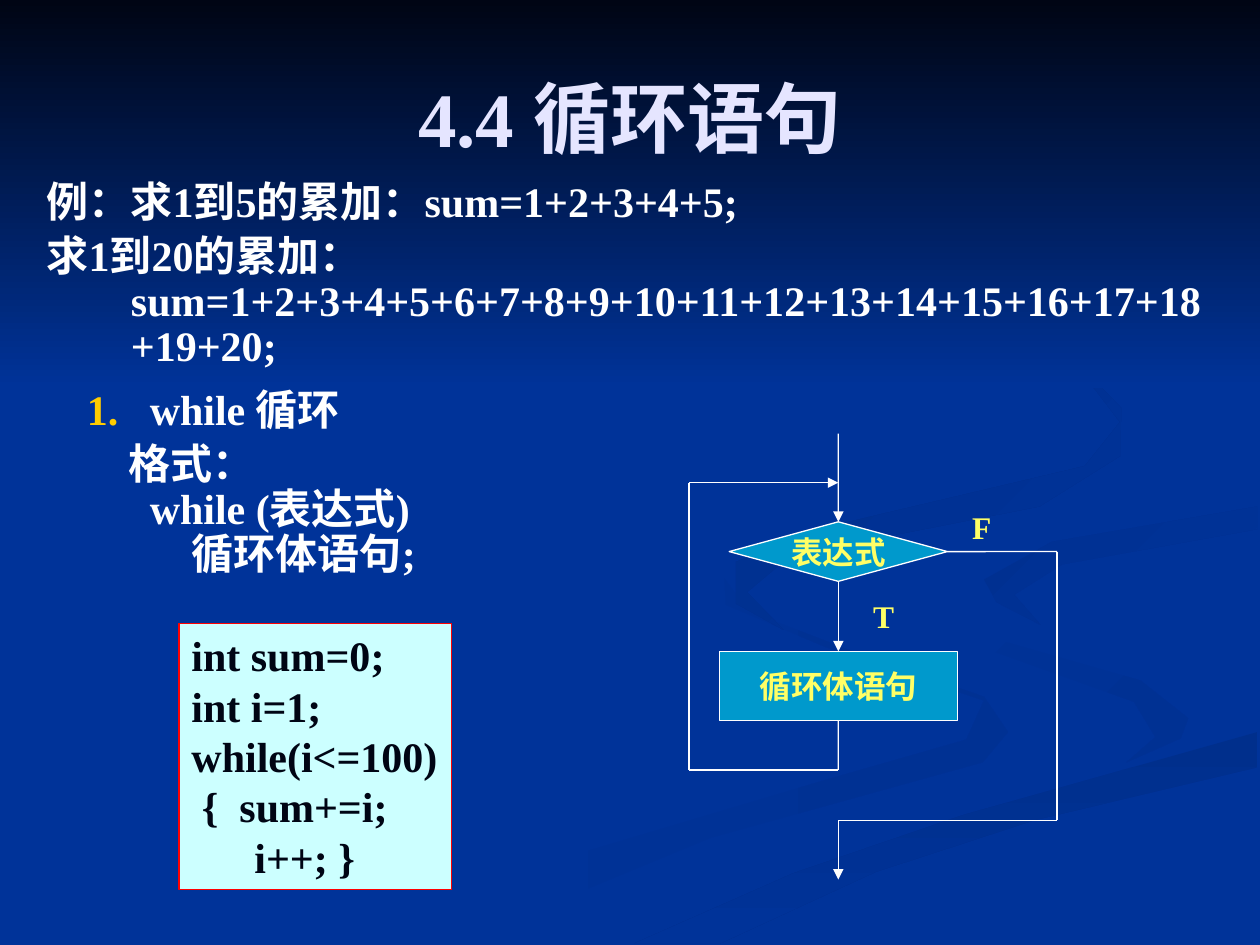
from lxml import etree
from pptx import Presentation
from pptx.dml.color import RGBColor
from pptx.enum.lang import MSO_LANGUAGE_ID as Language
from pptx.enum.shapes import MSO_CONNECTOR as Connector, MSO_SHAPE as Shape
from pptx.enum.text import MSO_ANCHOR as Anchor, MSO_AUTO_SIZE as AutoSize, PP_ALIGN as Align
from pptx.oxml.ns import qn
from pptx.util import Cm, Pt

FONT = "Times New Roman"
COLORS = {
    "background": "003399", "night": "000514", "title": "E5E5FF",
    "text": "FFFFFF", "number": "FFCC00", "label": "FFFF66",
    "node": "0099CC", "code": "CCFFFF", "border": "FF0000",
    "shade": "003193", "deep": "002F8C", "soft": "003091",
}
TOP, LEFT, BOTTOM, RIGHT = range(4)

# Ribbon outlines in hundredths of an inch: start colour, end colour, angle, points
RIBBONS = [
    ("background", "shade", 0, [
        (781, 553), (682, 519), (594, 485), (575, 459), (576, 480), (654, 513), (781, 556),
        (767, 587), (652, 620), (417, 690), (300, 749), (361, 749), (564, 665), (780, 605),
        (800, 581)]),
    ("background", "shade", 45, [
        (943, 570), (905, 540), (758, 498), (724, 464), (755, 505), (900, 557), (917, 585),
        (894, 605), (937, 586)]),
    ("deep", "background", 90, [
        (503, 749), (571, 749), (695, 692), (821, 651), (998, 609), (998, 581), (764, 647),
        (630, 693)]),
    ("soft", "background", 45, [
        (781, 460), (791, 478), (826, 496), (805, 472), (843, 448), (998, 420), (998, 402),
        (835, 430)]),
    ("deep", "background", 45, [
        (683, 430), (825, 402), (889, 362), (890, 324), (843, 275), (762, 233), (846, 279),
        (889, 335), (861, 370), (649, 420), (584, 446), (584, 479), (622, 500), (593, 470),
        (624, 444)]),
    ("night", "background", 90, [(0, 0), (0, 308), (1000, 308), (1000, 0)]),
]


def rgb(name):
    return RGBColor.from_string(COLORS[name])


def add_ribbon(slide, start, end, angle, points):
    builder = slide.shapes.build_freeform(*points[0], scale=Cm(0.0254))
    builder.add_line_segments(points[1:], close=True)
    shape = builder.convert_to_shape()
    shape.shadow.inherit = False
    shape.line.fill.background()
    shape.fill.gradient()
    shape.fill.gradient_angle = -angle % 360
    for stop, name in zip(shape.fill.gradient_stops, (start, end)):
        stop.color.rgb = rgb(name)


def write(shape, *texts, size=24, color="text", align=Align.LEFT, anchor=Anchor.TOP,
          wrap=True, grow=False, spacing=None, before=0, hanging=0, numbered=False):
    frame = shape.text_frame
    frame.word_wrap = wrap
    frame.vertical_anchor = anchor
    frame.auto_size = AutoSize.SHAPE_TO_FIT_TEXT if grow else AutoSize.NONE
    for index, text in enumerate(texts):
        paragraph = frame.add_paragraph() if index else frame.paragraphs[0]
        paragraph.text = text
        paragraph.alignment = align
        if spacing:
            paragraph.line_spacing = spacing
        if index and before:
            paragraph.space_before = Pt(before)
        if hanging:
            properties = paragraph._p.get_or_add_pPr()
            properties.set("marL", str(Cm(hanging)))
            properties.set("indent", str(-Cm(hanging)))
            if numbered and index == 0:
                bullet_color = etree.SubElement(properties, qn("a:buClr"))
                etree.SubElement(bullet_color, qn("a:srgbClr"), val=COLORS["number"])
                etree.SubElement(properties, qn("a:buFont"), typeface=FONT)
                etree.SubElement(properties, qn("a:buAutoNum"), type="arabicPeriod")
        for run in paragraph.runs:
            run.font.name = FONT
            run.font.size = Pt(size)
            run.font.bold = True
            run.font.color.rgb = rgb(color)
            run.font.language_id = Language.SIMPLIFIED_CHINESE


def add_text(slide, box, *texts, **text_format):
    write(slide.shapes.add_textbox(*map(Cm, box)), *texts, **text_format)


def add_box(slide, kind, box, *texts, fill="node", line="text", **text_format):
    shape = slide.shapes.add_shape(kind, *map(Cm, box))
    shape.shadow.inherit = False
    shape.fill.solid()
    shape.fill.fore_color.rgb = rgb(fill)
    shape.line.color.rgb = rgb(line)
    shape.line.width = Pt(0.75)
    write(shape, *texts, wrap=False, **text_format)
    return shape


def add_line(slide, start, end, arrow=False, source=None, target=None):
    connector = slide.shapes.add_connector(Connector.STRAIGHT, *map(Cm, (*start, *end)))
    if source:
        connector.begin_connect(*source)
    if target:
        connector.end_connect(*target)
    connector.line.color.rgb = rgb("text")
    connector.line.width = Pt(0.75)
    if arrow:
        etree.SubElement(connector.line._get_or_add_ln(), qn("a:tailEnd"), type="triangle")
    etree.SubElement(connector._element.spPr, qn("a:effectLst"))


def add_path(slide, points, source):
    """Draw a bent path from a shape's side, with an arrowhead at its end."""
    for start, end in zip(points, points[1:]):
        add_line(slide, start, end, arrow=end == points[-1],
                 source=source if start == points[0] else None)


def add_flowchart(slide):
    axis, loop_x, exit_x = 16.9, 13.89, 21.31
    loop_top, loop_bottom, exit_y = 9.73, 15.52, 16.54
    label = dict(size=18, color="label")
    centered = dict(label, align=Align.CENTER, anchor=Anchor.MIDDLE)
    decision = add_box(slide, Shape.FLOWCHART_DECISION, (14.7, 10.52, 4.4, 1.2),
                       "表达式", **centered)
    process = add_box(slide, Shape.FLOWCHART_PROCESS, (14.5, 13.13, 4.8, 1.4),
                      "循环体语句", **centered)
    # Entry and true branch
    add_line(slide, (axis, 8.74), (axis, 10.52), arrow=True, target=(decision, TOP))
    add_line(slide, (axis, 11.72), (axis, 13.13), arrow=True,
             source=(decision, BOTTOM), target=(process, TOP))
    # Way back to the test
    add_path(slide, [(axis, 14.53), (axis, loop_bottom), (loop_x, loop_bottom),
                     (loop_x, loop_top), (axis, loop_top)], (process, BOTTOM))
    # False branch
    add_path(slide, [(19.1, 11.12), (exit_x, 11.12), (exit_x, exit_y),
                     (axis, exit_y), (axis, 17.73)], (decision, RIGHT))
    # Branch labels
    for text, left, top in (("T", 17.35, 11.91), ("F", 19.35, 10.11)):
        add_text(slide, (left, top, 0.92, 1.02), text, wrap=False, grow=True, **label)


def main():
    presentation = Presentation()
    presentation.slide_width, presentation.slide_height = Cm(25.4), Cm(19.05)
    slide = presentation.slides.add_slide(presentation.slide_layouts[6])

    # Background
    slide.background.fill.solid()
    slide.background.fill.fore_color.rgb = rgb("background")
    for ribbon in RIBBONS:
        add_ribbon(slide, *ribbon)

    # Title and text
    add_text(slide, (1.27, 0.76, 22.86, 3.18), "4.4 循环语句", size=44, color="title",
             align=Align.CENTER, anchor=Anchor.MIDDLE)
    body = dict(spacing=0.9, before=4.8)
    add_text(slide, (0.69, 3.53, 24.13, 4.19), "例：求1到5的累加：sum=1+2+3+4+5;",
             f"求1到20的累加：sum={'+'.join(map(str, range(1, 21)))};", hanging=1.7, **body)
    add_text(slide, (1.5, 7.72, 8.2, 4.19), "while 循环",
             "　格式：\vwhile (表达式)\v　循环体语句;", hanging=1.27, numbered=True, **body)

    add_flowchart(slide)

    # Code sample
    add_box(slide, Shape.RECTANGLE, (3.61, 12.57, 5.49, 5.36),
            "int sum=0;", "int i=1;", "while(i<=100)", " {  sum+=i;", "      i++; }",
            fill="code", line="border", color="night", grow=True)

    presentation.save("out.pptx")


if __name__ == "__main__":
    main()
